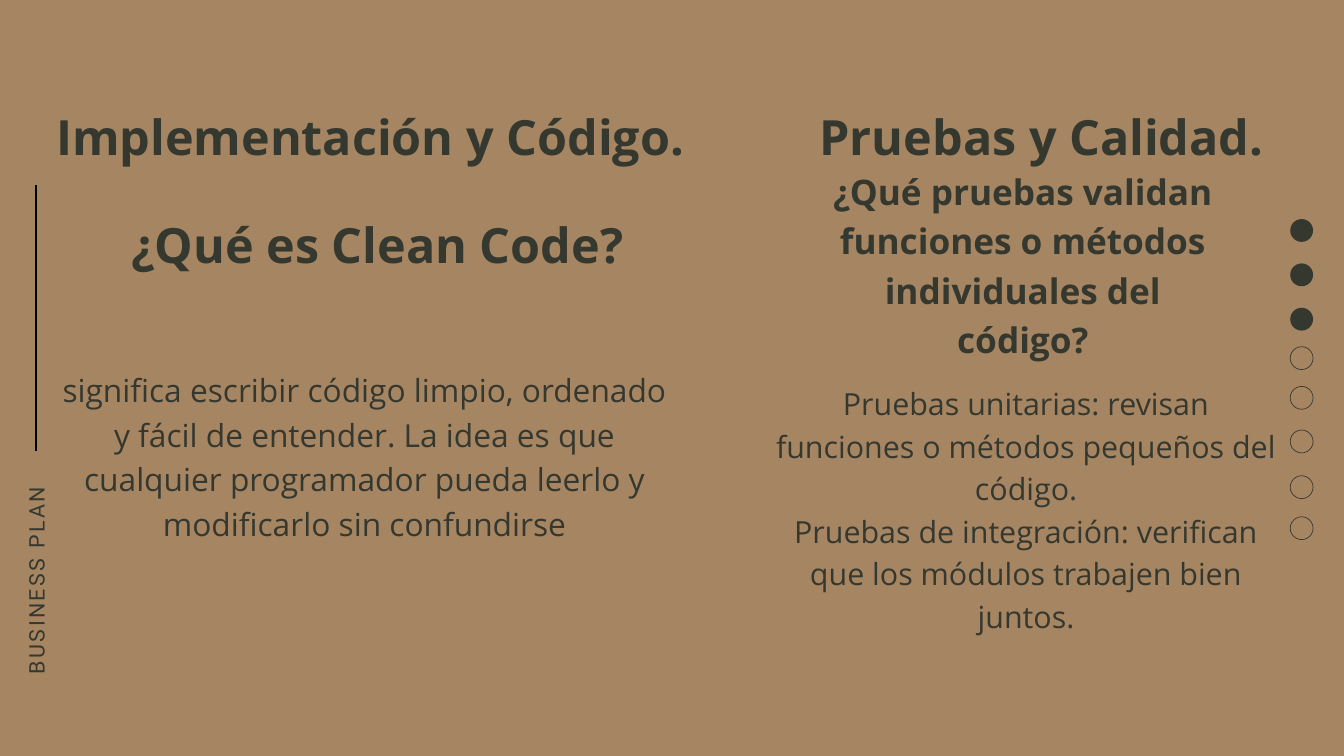
from collections import namedtuple

from lxml.etree import SubElement
from pptx import Presentation
from pptx.dml.color import RGBColor
from pptx.enum.shapes import MSO_CONNECTOR, MSO_SHAPE
from pptx.enum.text import PP_ALIGN
from pptx.oxml.ns import qn
from pptx.util import Inches, Pt

# The grid has 20 columns and 11.25 rows, each one inch.
COLUMNS, ROWS = 20, 11.25
BROWN, OLIVE, BLACK = "A68562", "35382F", "000000"
LEADING = 1.4

Box = namedtuple("Box", "left top width height")
Style = namedtuple("Style", "size bold")


def color(hex_code):
    return RGBColor.from_string(hex_code)


def inside(box, left, top, width, height):
    """Return a box placed relative to the corner of another."""
    return Box(box.left + left, box.top + top, width, height)


def add_text(page, box, lines, size, bold=False, font="Open Sans", align=PP_ALIGN.CENTER):
    shape = page.shapes.add_textbox(*map(Inches, box))
    frame = shape.text_frame
    frame.word_wrap = True
    frame.margin_left = frame.margin_right = frame.margin_top = frame.margin_bottom = 0
    for number, line in enumerate(lines):
        para = frame.add_paragraph() if number else frame.paragraphs[0]
        para.text = line
        para.alignment = align
        para.line_spacing = Pt(round(size * LEADING, 1))
        para.font.name = font
        para.font.size = Pt(size)
        para.font.bold = bold
        para.font.color.rgb = color(OLIVE)
    return shape


def add_side_label(page, box, label):
    """Draw a vertical rule with a label reading upwards below it."""
    center = box.left + box.width / 2
    rule = page.shapes.add_connector(
        MSO_CONNECTOR.STRAIGHT,
        *map(Inches, (center, box.top + 3.96, center, box.top)))
    rule.line.color.rgb = color(BLACK)
    rule.line.width = Pt(2.25)
    SubElement(rule._element.spPr, qn("a:effectLst"))

    length, thickness = 6.23, box.width
    middle = box.top + box.height - length / 2
    flat = Box(center - 0.02 - length / 2, middle - thickness / 2, length, thickness)
    text = add_text(page, flat, [label], 23, font="Roboto", align=PP_ALIGN.LEFT)
    text.rotation = 270
    for span in text.text_frame.paragraphs[0].runs:
        span._r.get_or_add_rPr().set("spc", "250")


def add_topic(page, box, parts):
    """Stack heading, question and answer, each at its place in the box."""
    for place, lines, style in parts:
        add_text(page, inside(box, *place), lines, *style)


def add_progress(page, box, offsets, done):
    """Draw one circle per step, filled for the steps already done."""
    for step, offset in enumerate(offsets):
        place = inside(box, 0, offset, box.width, box.width)
        dot = page.shapes.add_shape(MSO_SHAPE.OVAL, *map(Inches, place))
        dot.shadow.inherit = False
        if step < done:
            dot.fill.solid()
            dot.fill.fore_color.rgb = color(OLIVE)
            dot.line.fill.background()
        else:
            dot.fill.background()
            dot.line.color.rgb = color(OLIVE)
            dot.line.width = Pt(0.75)


def main():
    deck = Presentation()
    deck.slide_width, deck.slide_height = Inches(COLUMNS), Inches(ROWS)
    page = deck.slides.add_slide(deck.slide_layouts[6])
    page.background.fill.solid()
    page.background.fill.fore_color.rgb = color(BROWN)

    heading = Style(52, True)
    add_progress(page, Box(19.2, 3.26, 0.34, 4.77),
                 (0, 0.66, 1.32, 1.9, 2.49, 3.14, 3.82, 4.43), done=3)
    add_side_label(page, Box(0.3, 2.75, 0.47, 7.28), "BUSINESS PLAN")
    add_topic(page, Box(0.65, 1.45, 9.72, 6.58), [
        ((0, 0, 9.72, 0.97), ["Implementación y Código."], heading),
        ((0.3, 1.61, 9.34, 0.97), ["¿Qué es Clean Code?"], heading),
        ((0.15, 3.98, 9.25, 2.6),
         ["significa escribir código limpio, ordenado y fácil de entender. La idea es que "
          "cualquier programador pueda leerlo y modificarlo sin confundirse"],
         Style(34, False)),
    ])
    add_topic(page, Box(10.83, 1.45, 9.34, 8.58), [
        ((0, 0, 9.34, 0.97), ["Pruebas y Calidad."], heading),
        ((1.43, 0.98, 5.92, 2.9),
         ["¿Qué pruebas validan funciones o métodos individuales del código?"],
         Style(37.7, True)),
        ((0.65, 4.19, 7.58, 4.39),
         ["Pruebas unitarias: revisan funciones o métodos pequeños del código.",
          "Pruebas de integración: verifican que los módulos trabajen bien juntos."],
         Style(32.6, False)),
    ])
    deck.save("out.pptx")


if __name__ == "__main__":
    main()
